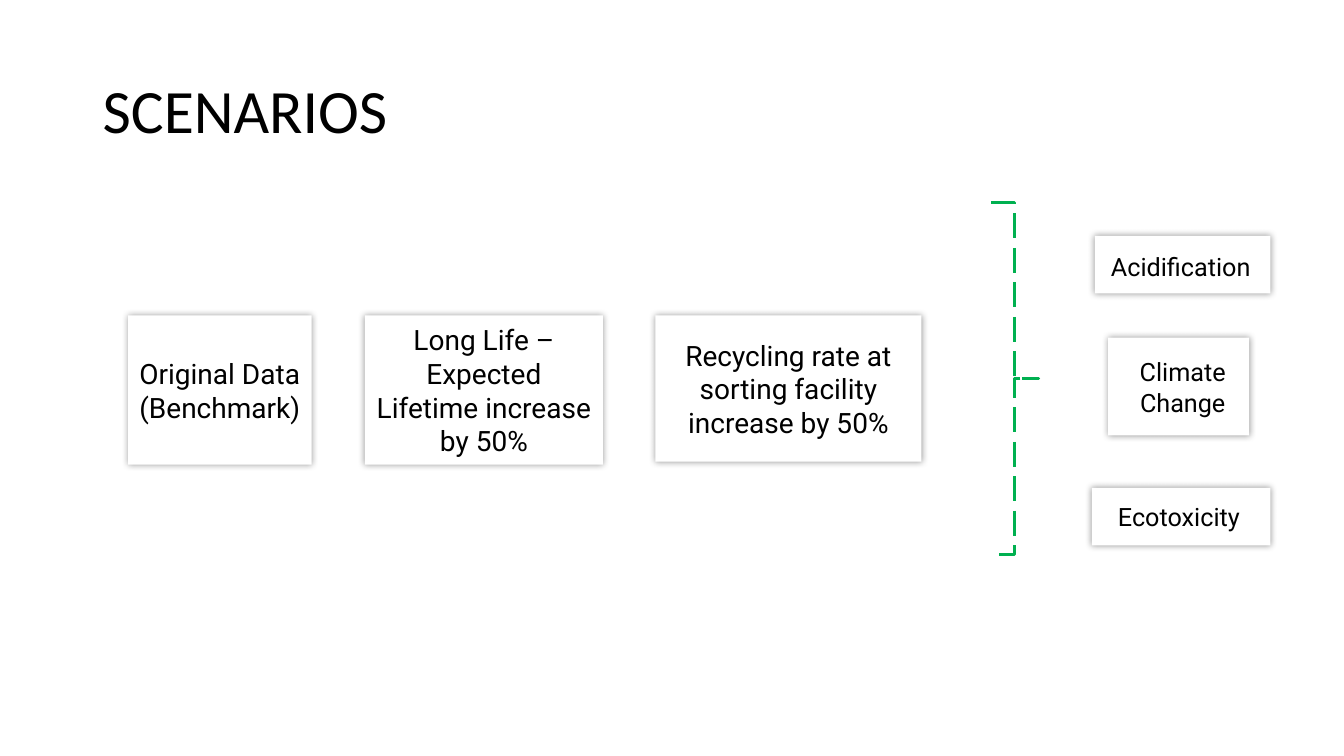
from lxml import etree
from pptx import Presentation
from pptx.dml.color import RGBColor
from pptx.enum.dml import MSO_LINE
from pptx.enum.shapes import MSO_SHAPE
from pptx.enum.text import MSO_ANCHOR, MSO_AUTO_SIZE, PP_ALIGN
from pptx.oxml.ns import qn
from pptx.util import Pt

RECTANGLE = MSO_SHAPE.RECTANGLE
LEFT_BRACE = MSO_SHAPE.LEFT_BRACE
LONG_DASH = MSO_LINE.LONG_DASH
MIDDLE = MSO_ANCHOR.MIDDLE
TOP = MSO_ANCHOR.TOP
LEFT = PP_ALIGN.LEFT
CENTER = PP_ALIGN.CENTER
GROW = MSO_AUTO_SIZE.SHAPE_TO_FIT_TEXT

EMU_PER_PX = 9144
COLORS = {"text": "000000", "card": "FFFFFF", "shadow": "000000", "brace": "00B050"}


class ScenarioSlide:
    title_font = "Calibri"
    body_font = "Roboto"

    def __init__(self, slide):
        self.slide = slide
        self.shapes = slide.shapes

    @staticmethod
    def box(*lengths):
        return [length * EMU_PER_PX for length in lengths]

    @staticmethod
    def color(name):
        return RGBColor.from_string(COLORS[name])

    def set_text(self, shape, text, size, font, align, anchor):
        frame = shape.text_frame
        frame.text = text
        frame.word_wrap = True
        frame.vertical_anchor = anchor
        for paragraph in frame.paragraphs:
            paragraph.alignment = align
            for run in paragraph.runs:
                run.font.size = Pt(size)
                run.font.name = font
                run.font.color.rgb = self.color("text")

    def title(self, bounds, text):
        heading = self.shapes.add_textbox(*self.box(*bounds))
        self.set_text(heading, text, 44, self.title_font, LEFT, MIDDLE)
        heading.text_frame.paragraphs[0].line_spacing = 0.9

    def card(self, bounds, text=""):
        card = self.shapes.add_shape(RECTANGLE, *self.box(*bounds))
        card.fill.solid()
        card.fill.fore_color.rgb = self.color("card")
        card.line.fill.background()
        self.glow(card)
        if text:
            self.set_text(card, text, 20, self.body_font, CENTER, MIDDLE)

    def glow(self, card):
        card.shadow.inherit = False
        effects = card._element.spPr.find(qn("a:effectLst"))
        shadow = etree.SubElement(effects, qn("a:outerShdw"), blurRad=str(Pt(5)),
                                  dist="0", dir="0", algn="ctr", rotWithShape="0")
        tint = etree.SubElement(shadow, qn("a:srgbClr"), val=COLORS["shadow"])
        etree.SubElement(tint, qn("a:alpha"), val="40000")

    def label(self, bounds, text, align):
        label = self.shapes.add_textbox(*self.box(*bounds))
        self.set_text(label, text, 18, self.body_font, align, TOP)
        label.text_frame.auto_size = GROW

    def brace(self, bounds, tip):
        brace = self.shapes.add_shape(LEFT_BRACE, *self.box(*bounds))
        brace.rotation = 180
        brace.adjustments[0] = 0
        brace.adjustments[1] = tip
        brace.shadow.inherit = False
        brace.fill.background()
        brace.line.color.rgb = self.color("brace")
        brace.line.width = Pt(2.25)
        brace.line.dash_style = LONG_DASH

    def impacts(self, rows):
        self.shapes = self.slide.shapes.add_group_shape().shapes
        for card_bounds, label_bounds, text, align in rows:
            self.card(card_bounds)
            self.label(label_bounds, text, align)
        self.shapes = self.slide.shapes


def main():
    deck = Presentation()
    deck.slide_width, deck.slide_height = ScenarioSlide.box(1333, 750)
    scenarios = ScenarioSlide(deck.slides.add_slide(deck.slide_layouts[6]))

    scenarios.title((92, 40, 1150, 145), "SCENARIOS")
    scenarios.brace((983, 201, 47, 349), 0.5)
    scenarios.impacts([
        ((1086, 234, 174, 57), (1092, 244, 177, 40), "Acidification", LEFT),
        ((1099, 335, 140, 97), (1109, 349, 128, 71), "Climate Change", CENTER),
        ((1083, 484, 177, 57), (1099, 492, 160, 40), "Ecotoxicity", LEFT),
    ])
    for left, width, height, text in [
        (127, 182, 148, "Original Data\n(Benchmark)"),
        (362, 236, 148, "Long Life – Expected Lifetime increase by 50%"),
        (650, 264, 145, "Recycling rate at sorting facility increase by 50%"),
    ]:
        scenarios.card((left, 313, width, height), text)

    deck.save("out.pptx")


if __name__ == "__main__":
    main()
